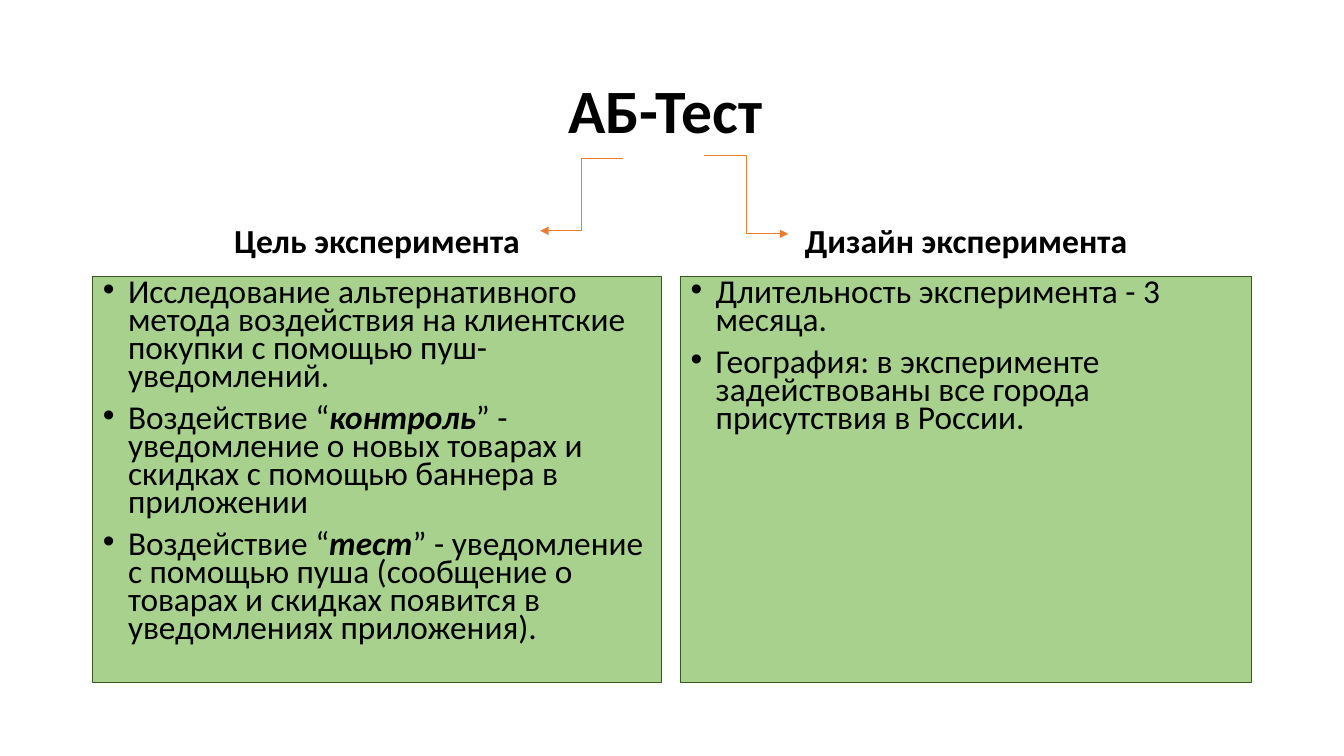
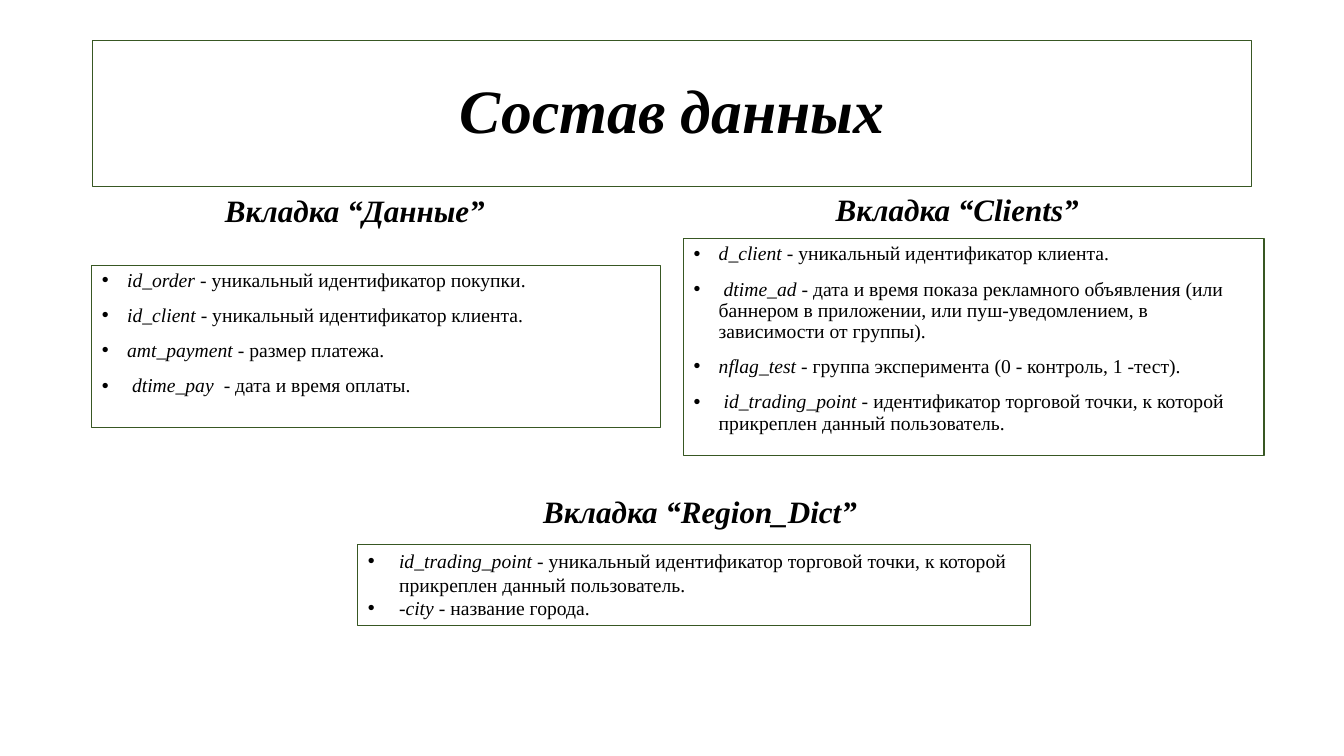
"""Build two slides on an A/B test: its aim and design, then its data tables."""
from dataclasses import dataclass
from lxml import etree
from pptx import Presentation
from pptx import util as u
from pptx.dml.color import RGBColor as Rgb
from pptx.enum import shapes, text
from pptx.oxml.ns import qn


@dataclass(frozen=True)
class Theme:
    ink: Rgb = Rgb.from_string("000000")
    green: Rgb = Rgb.from_string("A9D18E")
    edge: Rgb = Rgb.from_string("385723")
    arrow: Rgb = Rgb.from_string("ED7D31")
    sans: str = "Calibri"
    serif: str = "Times New Roman"
    title: float = 44
    head: float = 24
    tab: float = 22.2
    list: float = 23.8
    field: float = 14


T = Theme()
deck = Presentation()
deck.slide_width, deck.slide_height = u.Inches(13.33), u.Inches(7.5)
COL, ROW = deck.slide_width / 100, deck.slide_height / 100
PAIR = deck.slide_layouts[4]
MID, LOW, TOP = text.MSO_ANCHOR.MIDDLE, text.MSO_ANCHOR.BOTTOM, text.MSO_ANCHOR.TOP
CENTER, LEFT = text.PP_ALIGN.CENTER, text.PP_ALIGN.LEFT
BANNER = (6.9, 5.33, 86.25, 19.33)


def place(box, area, fill=None, edge=None):
    """Set a box's area in hundredths of the slide, with its fill and line."""
    x, y, w, h = area
    box.left, box.top = int(x * COL), int(y * ROW)
    box.width, box.height = int(w * COL), int(h * ROW)
    if fill:
        box.fill.solid()
        box.fill.fore_color.rgb = fill
    if edge:
        box.line.color.rgb = edge
        box.line.width = u.Pt(0.75)
    return box


def write(box, lines, size, face, anchor=TOP, align=LEFT, bold=False, slant=False,
          strong=False, space=0.9, gap=0, dent=None, wrap=True):
    """Fill a box with paragraphs; starred parts are italic."""
    frame = box.text_frame
    frame.word_wrap, frame.auto_size = wrap, text.MSO_AUTO_SIZE.NONE
    frame.vertical_anchor = anchor
    for i, line in enumerate(lines):
        para = frame.paragraphs[0] if i == 0 else frame.add_paragraph()
        if dent:
            props = para._p.get_or_add_pPr()
            props.set("marL", str(u.Inches(dent)))
            props.set("indent", str(-u.Inches(dent)))
            etree.SubElement(props, qn("a:buFont")).set("typeface", "Arial")
            etree.SubElement(props, qn("a:buChar")).set("char", "•")
        para.alignment, para.line_spacing = align, space
        para.space_before = u.Pt(gap)
        font = para.font
        font.size, font.name, font.bold, font.italic = u.Pt(size), face, bold, slant
        font.color.rgb = T.ink
        for k, part in enumerate(line.split("*")):
            if part:
                run = para.add_run()
                run.text = part
                if k % 2:
                    run.font.italic = True
                    run.font.bold = strong


test = deck.slides.add_slide(PAIR)
write(place(test.shapes.title, BANNER), ["АБ-Тест "], T.title, T.sans, MID, CENTER, True)
sides = [
    (6.9, 42.3, "Цель эксперимента", [
        "Исследование альтернативного метода воздействия на клиентские покупки с помощью пуш-уведомлений.",
        "Воздействие “*контроль*” - уведомление о новых товарах и скидках с помощью баннера в приложении",
        "Воздействие “*тест*” - уведомление с помощью пуша (сообщение о товарах и скидках появится в уведомлениях приложения).",
    ]),
    (50.63, 42.5, "Дизайн эксперимента", [
        "Длительность эксперимента - 3 месяца.",
        "География: в эксперименте задействованы все города присутствия в России.",
    ]),
]
for i, (x, w, name, lines) in enumerate(sides):
    head = place(test.placeholders[2 * i + 1], (x, 28, w, 12))
    write(head, [name], T.head, T.sans, LOW, CENTER, True)
    head.text_frame.margin_bottom = int(5.5 * ROW)
    body = place(test.placeholders[2 * i + 2], (x, 36.53, w, 53.73), T.green, T.edge)
    write(body, lines, T.list, T.sans, strong=True, space=0.7, gap=10, dent=0.25)

for x, y, to, end in [(46.35, 20.93, 40.2, 30.53), (52.35, 20.53, 58.65, 30.93)]:
    link = test.shapes.add_connector(
        shapes.MSO_CONNECTOR.ELBOW, int(x * COL), int(y * ROW), int(to * COL), int(end * ROW))
    link.line.color.rgb, link.line.width = T.arrow, u.Pt(0.5)
    etree.SubElement(link.line._get_or_add_ln(), qn("a:tailEnd")).set("type", "triangle")
    etree.SubElement(link._element.spPr, qn("a:effectLst"))

data = deck.slides.add_slide(PAIR)
write(place(data.shapes.title, BANNER, edge=T.edge), ["Состав данных"],
      T.title, T.serif, MID, CENTER, True, True)
tabs = [
    ("Вкладка “Данные”", (15.98, 24.67, 21.3, 6.27), (6.83, 35.07, 42.3, 21.47), [
        "*id_order *- уникальный идентификатор покупки.",
        "*id_client *- уникальный идентификатор клиента.",
        "*amt_payment* - размер платежа.",
        " *dtime_pay  *- дата и время оплаты.",
    ]),
    ("Вкладка “Clients”", (61.43, 24.53, 19.65, 6.27), (50.85, 31.6, 43.2, 28.67), [
        "*d_client *- уникальный идентификатор клиента.",
        " *dtime_ad *- дата и время показа рекламного объявления (или баннером в приложении, или пуш-уведомлением, в зависимости от группы).",
        "*nflag_test* - группа эксперимента (0 - контроль, 1 -тест).",
        " *id_trading_point -* идентификатор торговой точки, к которой прикреплен данный пользователь.",
    ]),
]
for i, (name, top, area, lines) in enumerate(tabs):
    write(place(data.placeholders[2 * i + 1], top), [name],
          T.tab, T.serif, LOW, bold=True, slant=True)
    write(place(data.placeholders[2 * i + 2], area, edge=T.edge), lines,
          T.field, T.serif, gap=10, dent=0.25)

region = place(data.shapes.add_textbox(0, 0, 0, 0), (26.63, 72, 50.03, 10.8), edge=T.edge)
write(region, [
    "*id_trading_point* - уникальный идентификатор торговой точки, к которой прикреплен данный пользователь.",
    "*-city *- название города.",
], T.field, T.serif, space=1, dent=0.31)
label = place(data.shapes.add_textbox(0, 0, 0, 0), (39.68, 64.53, 24.83, 6.27))
write(label, ["Вкладка “Region_Dict”"], T.tab, T.serif,
      bold=True, slant=True, space=1, wrap=False)

deck.save("out.pptx")
